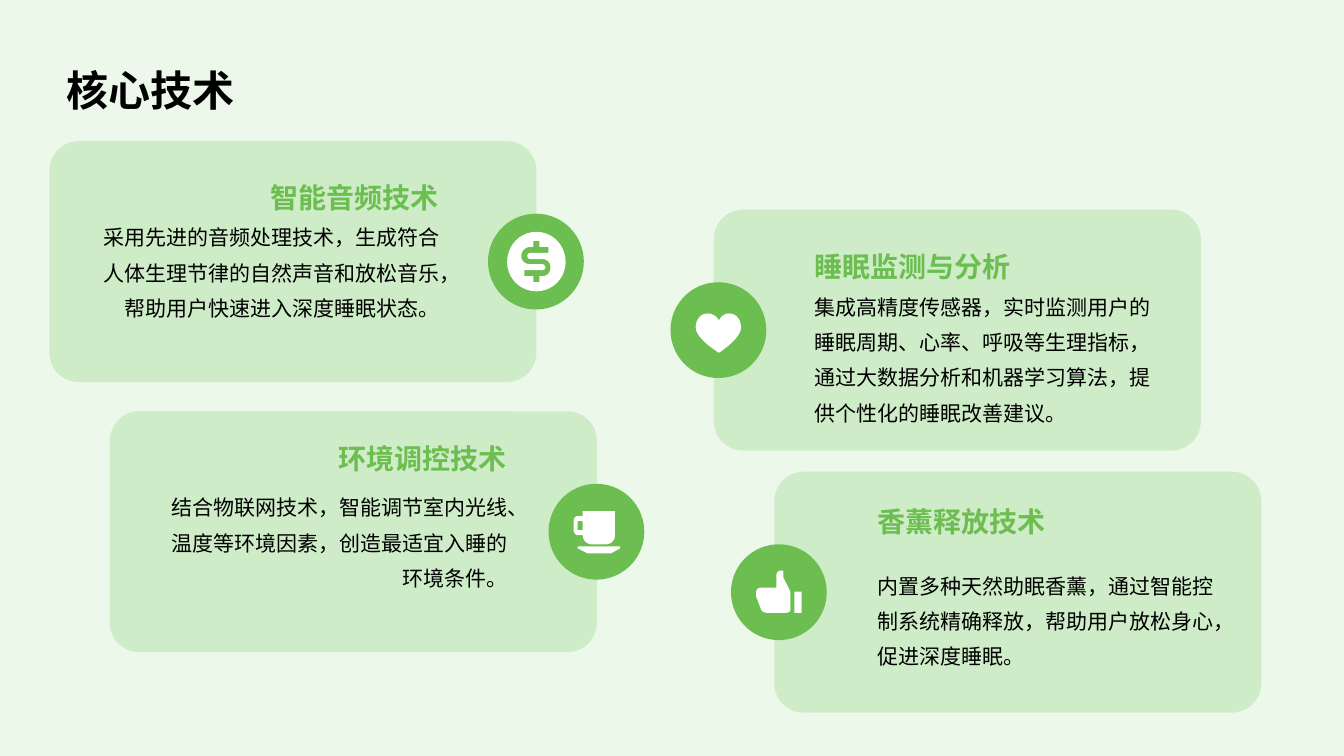
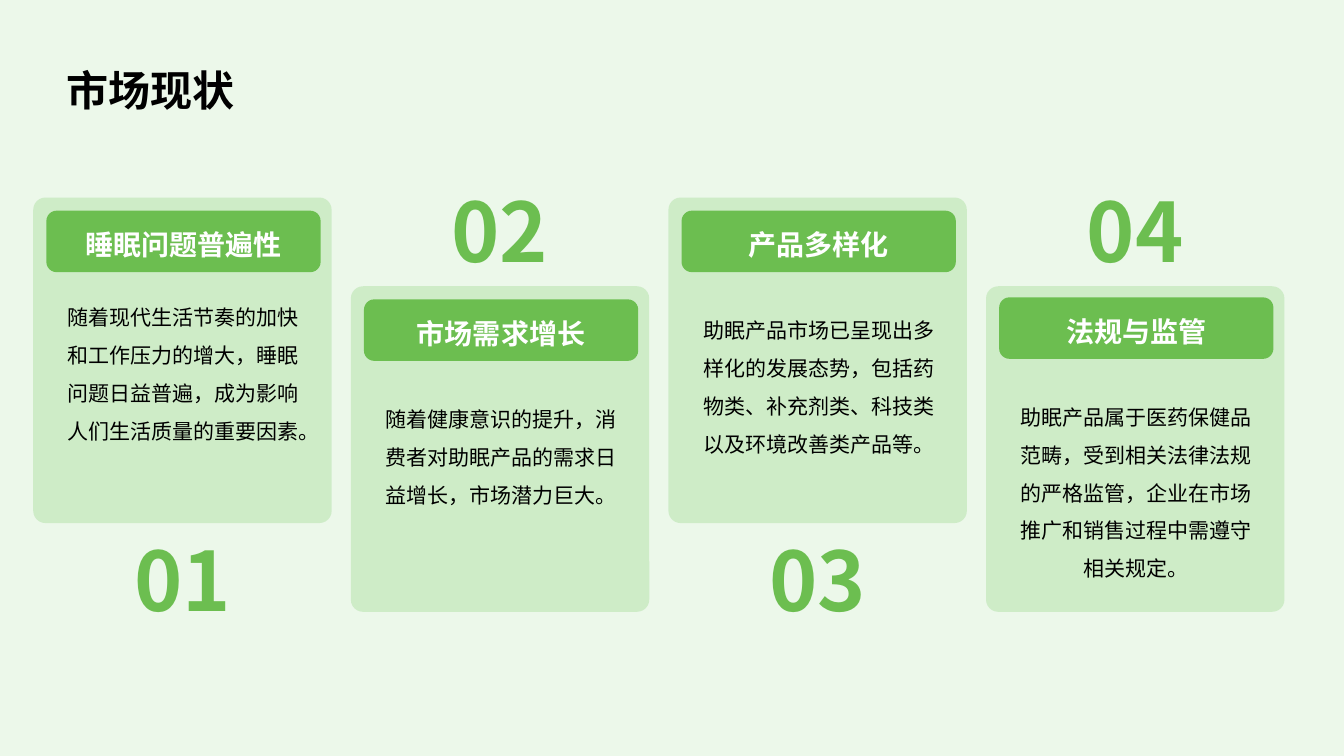
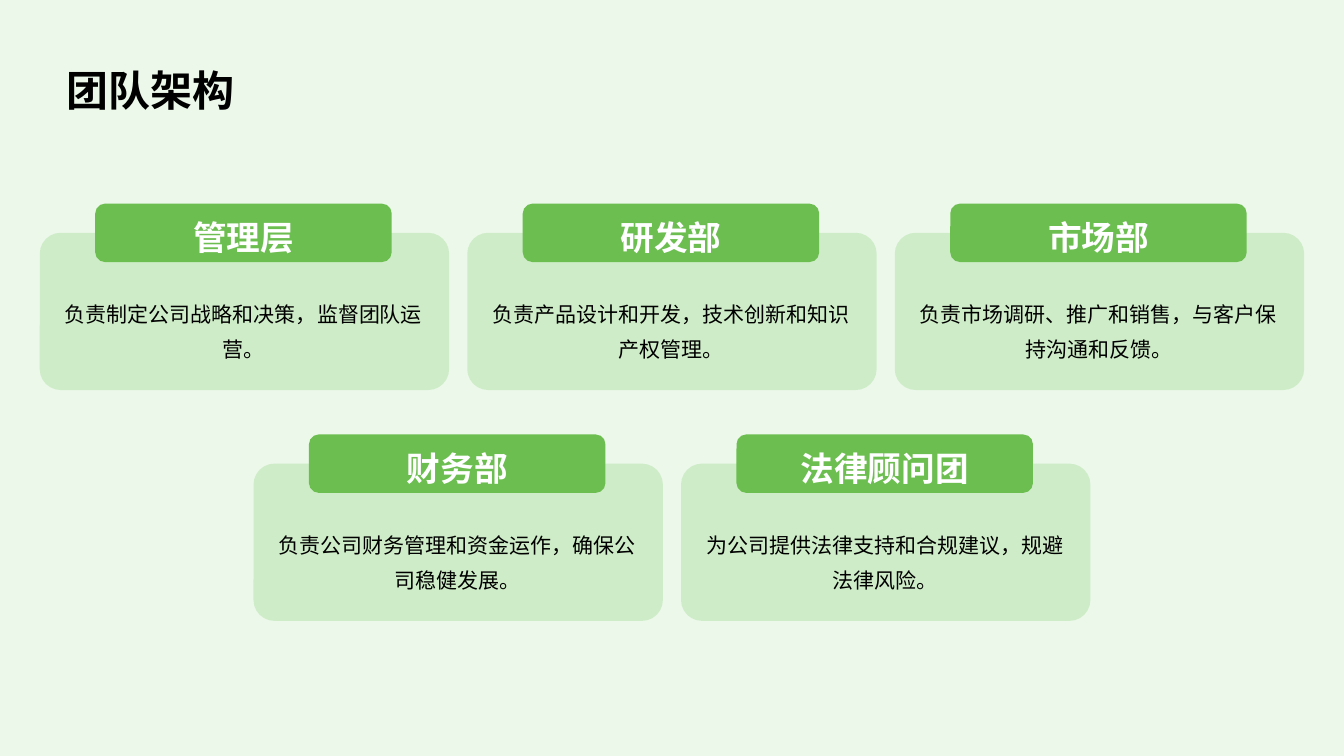
"""Build three slides on sleep technology, its market and the team."""
import dataclasses

import lxml.etree
import pptx
import pptx.dml.color
import pptx.enum.shapes
import pptx.enum.text
import pptx.oxml.ns
import pptx.util

Inches = pptx.util.Inches
Pt = pptx.util.Pt
qn = pptx.oxml.ns.qn
KIND = pptx.enum.shapes.MSO_SHAPE
ALIGN = pptx.enum.text.PP_ALIGN
ANCHOR = pptx.enum.text.MSO_ANCHOR


@dataclasses.dataclass(frozen=True)
class Theme:
    font: str = "Noto Sans CJK SC"
    back: str = "ECF8EA"
    card: str = "C7E9BF"
    green: str = "6CBE50"
    white: str = "FFFFFF"
    black: str = "000000"
    title: float = 30
    head: float = 20
    band: float = 24
    body: float = 15
    number: float = 58.5
    alpha: int = 80


THEME = Theme()
WIDE, HIGH = 13.33, 7.5
SLIM = (0.07, 0.04, 0.07, 0.04)
PLAIN = (0.1, 0.05, 0.1, 0.05)
NONE = (0, 0, 0, 0)

COIN = [
    [(48, 77), (32, 77, 19, 64, 19, 48), (19, 31, 32, 18, 48, 18),
     (64, 18, 77, 31, 77, 48), (77, 64, 64, 77, 48, 77)],
    [(51, 62), (54, 62), (59, 62, 62, 58, 62, 53), (62, 49, 59, 45, 54, 45),
     (42, 45), (40, 45, 39, 43, 39, 42), (39, 40, 40, 39, 42, 39),
     (60, 39), (60, 33), (51, 33), (51, 27), (45, 27), (45, 33), (42, 33),
     (37, 33, 33, 37, 33, 42), (33, 47, 37, 50, 42, 50), (54, 50),
     (55, 50, 57, 52, 57, 53), (57, 55, 55, 56, 54, 56),
     (36, 56), (36, 62), (45, 62), (45, 68), (51, 68)],
]
CUP = [
    [(34, 51), (29, 51), (27, 51, 25, 48, 25, 46), (25, 37),
     (25, 34, 27, 32, 29, 32), (34, 32), (34, 27), (66, 27), (66, 51),
     (66, 56, 62, 60, 57, 60), (43, 60), (38, 60, 34, 56, 34, 51)],
    [(34, 46), (34, 37), (29, 37), (29, 46)],
    [(29, 64), (29, 62), (71, 62), (71, 64), (62, 69), (39, 69)],
]
HEART = [
    [(48, 38), (48, 38, 45, 31, 37, 31), (29, 31, 25, 38, 25, 45),
     (25, 56, 48, 70, 48, 70), (48, 70, 70, 56, 70, 45),
     (70, 38, 66, 31, 58, 31), (51, 31, 48, 38, 48, 38)],
]
THUMB = [
    [(50, 26), (52, 26), (52, 33), (59, 47), (59, 64),
     (59, 67, 57, 68, 54, 68), (36, 68), (34, 68, 31, 67, 30, 65),
     (25, 52), (25, 47), (25, 45, 27, 43, 30, 43), (45, 43), (45, 31),
     (45, 28, 47, 26, 50, 26)],
    [(63, 47), (70, 47), (70, 68), (63, 68)],
]

TECHS = [
    dict(at=(0.49, 1.4), head=(0.22, 0.2), body=(0.29, 0.69), side="left",
         icon=COIN, name="智能音频技术", anchor=ANCHOR.TOP,
         text="采用先进的音频处理技术，生成符合人体生理节律的自然声音和放松音乐，帮助用户快速进入深度睡眠状态。"),
    dict(at=(1.09, 4.08), head=(0.3, 0.11), body=(0.36, 0.69), side="left",
         icon=CUP, name="环境调控技术", anchor=ANCHOR.TOP,
         text="结合物联网技术，智能调节室内光线、温度等环境因素，创造最适宜入睡的环境条件。"),
    dict(at=(7.08, 2.08), head=(0.93, 0.21), body=(0.93, 0.7), side="right",
         icon=HEART, name="睡眠监测与分析", anchor=ANCHOR.TOP,
         text="集成高精度传感器，实时监测用户的睡眠周期、心率、呼吸等生理指标，通过大数据分析和机器学习算法，提供个性化的睡眠改善建议。"),
    dict(at=(7.68, 4.68), head=(0.95, 0.14), body=(0.95, 0.67), side="right",
         icon=THUMB, name="香薰释放技术", anchor=ANCHOR.MIDDLE,
         text="内置多种天然助眠香薰，通过智能控制系统精确释放，帮助用户放松身心，促进深度睡眠。"),
]
SIDES = {"left": (4.35, ALIGN.RIGHT), "right": (-0.43, ALIGN.LEFT)}

MARKET = [
    ("睡眠问题普遍性", 0.13, 0.89,
     "随着现代生活节奏的加快和工作压力的增大，睡眠问题日益普遍，成为影响人们生活质量的重要因素。"),
    ("市场需求增长", 0.13, 1.02,
     "随着健康意识的提升，消费者对助眠产品的需求日益增长，市场潜力巨大。"),
    ("产品多样化", 0.13, 1.02,
     "助眠产品市场已呈现出多样化的发展态势，包括药物类、补充剂类、科技类以及环境改善类产品等。"),
    ("法规与监管", 0.11, 1.0,
     "助眠产品属于医药保健品范畴，受到相关法律法规的严格监管，企业在市场推广和销售过程中需遵守相关规定。"),
]

TEAM = [
    (2.31, [("管理层", "负责制定公司战略和决策，监督团队运营。"),
            ("研发部", "负责产品设计和开发，技术创新和知识产权管理。"),
            ("市场部", "负责市场调研、推广和销售，与客户保持沟通和反馈。")]),
    (4.6, [("财务部", "负责公司财务管理和资金运作，确保公司稳健发展。"),
           ("法律顾问团", "为公司提供法律支持和合规建议，规避法律风险。")]),
]


def tint(hue):
    return pptx.dml.color.RGBColor.from_string(hue)


def box(left, top, width, height):
    return [Inches(size) for size in (left, top, width, height)]


def paint(shape, hue, alpha=100):
    shape.shadow.inherit = False
    shape.fill.solid()
    shape.fill.fore_color.rgb = tint(hue)
    shape.line.fill.background()
    if alpha < 100:
        node = shape.element.spPr.find(qn("a:solidFill"))[0]
        lxml.etree.SubElement(node, qn("a:alpha"), val=str(alpha * 1000))


def write(shape, text, size, hue=THEME.black, bold=False, align=ALIGN.CENTER,
          lines=1.0, before=0, anchor=ANCHOR.MIDDLE, pad=NONE):
    frame = shape.text_frame
    frame.word_wrap = True
    frame.auto_size = pptx.enum.text.MSO_AUTO_SIZE.NONE
    frame.vertical_anchor = anchor
    (frame.margin_left, frame.margin_top,
     frame.margin_right, frame.margin_bottom) = box(*pad)
    para = frame.paragraphs[0]
    para.alignment = align
    para.line_spacing = lines
    para.space_before = Pt(before)
    run = para.add_run()
    run.text = text
    run.font.size = Pt(size)
    run.font.bold = bold
    run.font.color.rgb = tint(hue)
    run.font.name = THEME.font
    lxml.etree.SubElement(run.font._element, qn("a:ea"), typeface=THEME.font)


def label(slide, area, text, size, **style):
    write(slide.shapes.add_textbox(*box(*area)), text, size, **style)


def plate(slide, area, hue, round_, alpha=100):
    shape = slide.shapes.add_shape(KIND.ROUNDED_RECTANGLE, *box(*area))
    shape.adjustments[0] = round_
    paint(shape, hue, alpha)
    return shape


def card(slide, area, round_):
    plate(slide, area, THEME.card, round_, THEME.alpha)


def band(slide, area, text, size):
    shape = plate(slide, area, THEME.green, 0.167)
    write(shape, text, size, THEME.white, True, lines=1.2)


def trace(parts, steps=10):
    points = []
    for part in parts:
        if len(part) == 2:
            points.append(part)
            continue
        knots = [points[-1], part[:2], part[2:4], part[4:]]
        for step in range(1, steps + 1):
            t = step / steps
            rates = ((1 - t) ** 3, 3 * t * (1 - t) ** 2,
                     3 * t * t * (1 - t), t ** 3)
            points.append(tuple(sum(rate * knot[axis] for rate, knot
                                    in zip(rates, knots)) for axis in (0, 1)))
    return points


def badge(slide, left, top, icon):
    disc = slide.shapes.add_shape(KIND.OVAL, *box(left, top, 0.95, 0.95))
    paint(disc, THEME.green)
    pen = None
    for parts in icon:
        first, *rest = [(Inches(left + x / 100), Inches(top + y / 100))
                        for x, y in trace(parts)]
        if pen is None:
            pen = slide.shapes.build_freeform(*first)
        else:
            pen.move_to(*first)
        pen.add_line_segments(rest, close=True)
    paint(pen.convert_to_shape(), THEME.white)


def page(deck, text):
    slide = deck.slides.add_slide(deck.slide_layouts[5])
    title = slide.shapes.title
    title.left, title.top, title.width, title.height = box(
        0.52, 0.29, 12.29, 1)
    write(title, text, THEME.title, bold=True, align=ALIGN.LEFT, lines=1.4,
          pad=(0.14, 0.14, 0.06, 0.14))
    return slide


def techs(deck):
    slide = page(deck, "核心技术")
    for tech in TECHS:
        left, top = tech["at"]
        shift, align = SIDES[tech["side"]]
        card(slide, (left, top, 4.83, 2.39), 0.122)
        x, y = tech["head"]
        label(slide, (left + x, top + y, 3.71, 0.54), tech["name"],
              THEME.head, hue=THEME.green, bold=True, align=align,
              lines=1.5, pad=SLIM)
        x, y = tech["body"]
        label(slide, (left + x, top + y, 3.65, 1.52), tech["text"],
              THEME.body, align=align, lines=1.4, anchor=tech["anchor"],
              pad=SLIM)
        badge(slide, left + shift, top + 0.72, tech["icon"])


def market(deck):
    slide = page(deck, "市场现状")
    for i, (name, drop, gap, text) in enumerate(MARKET):
        left = 0.33 + 3.15 * i
        top, rise = ((1.96, 3.21), (2.84, -1.14))[i % 2]
        card(slide, (left, top, 2.96, 3.23), 0.041)
        band(slide, (left + 0.13, top + drop, 2.72, 0.61), name, THEME.head)
        label(slide, (left + 0.19, top + gap, 2.6, 1.99), text, THEME.body,
              lines=1.5, before=3.8, anchor=ANCHOR.TOP, pad=PLAIN)
        label(slide, (left + 0.83, top + rise, 1.3, 1.15), f"{i + 1:02}",
              THEME.number, hue=THEME.green, bold=True, before=3.8, pad=PLAIN)


def team(deck):
    slide = page(deck, "团队架构")
    width, gap = 4.06, 0.18
    for top, row in TEAM:
        start = (WIDE - len(row) * (width + gap) + gap) / 2
        for i, (name, text) in enumerate(row):
            left = start + i * (width + gap)
            card(slide, (left, top, width, 1.56), 0.133)
            label(slide, (left + 0.21, top + 0.42, 3.62, 1.02), text,
                  THEME.body, lines=1.4)
            band(slide, (left + 0.55, top - 0.29, 2.94, 0.58), name,
                 THEME.band)


def main():
    deck = pptx.Presentation()
    deck.slide_width, deck.slide_height = Inches(WIDE), Inches(HIGH)
    back = deck.slide_master.background.fill
    back.solid()
    back.fore_color.rgb = tint(THEME.back)
    techs(deck)
    market(deck)
    team(deck)
    deck.save("out.pptx")


if __name__ == "__main__":
    main()
